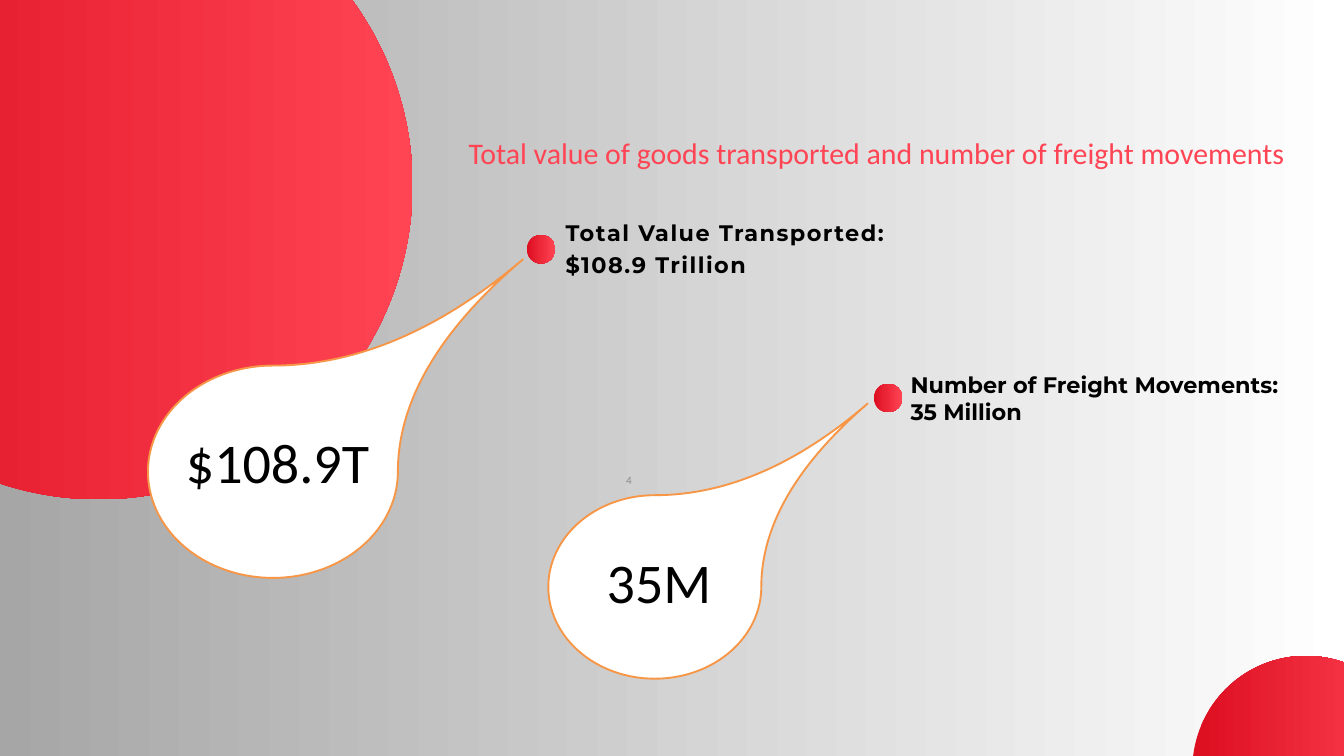
from pptx import Presentation
from pptx.dml.color import RGBColor
from pptx.enum.shapes import MSO_SHAPE
from pptx.enum.text import MSO_ANCHOR, PP_ALIGN
from pptx.util import Pt

OVAL, TEARDROP = MSO_SHAPE.OVAL, MSO_SHAPE.TEAR
TOP, MIDDLE = MSO_ANCHOR.TOP, MSO_ANCHOR.MIDDLE
LEFT, RIGHT = PP_ALIGN.LEFT, PP_ALIGN.RIGHT

DEEP_RED = RGBColor(0xDC, 0x0E, 0x20)
CORAL = RGBColor(0xFF, 0x44, 0x54)
ORANGE = RGBColor(0xF7, 0x96, 0x46)
GRAY = RGBColor(0xA6, 0xA6, 0xA6)
NUMBER_GRAY = RGBColor(0x8C, 0x8C, 0x8C)
WHITE = RGBColor(0xFF, 0xFF, 0xFF)
BLACK = RGBColor(0x00, 0x00, 0x00)


def fill_gradient(fill, start, end):
    """Fill with a left-to-right gradient of two colours."""
    fill.gradient()
    fill.gradient_angle = 0
    for stop, color, position in zip(fill.gradient_stops, (start, end), (0, 1)):
        stop.color.rgb = color
        stop.position = position


def add_red_circle(slide, left, top, diameter):
    circle = slide.shapes.add_shape(OVAL, Pt(left), Pt(top), Pt(diameter), Pt(diameter))
    circle.shadow.inherit = False
    fill_gradient(circle.fill, DEEP_RED, CORAL)
    circle.line.fill.background()


def add_drop(slide, left, top, width, height):
    """Add a white teardrop whose tip reaches far to the upper right."""
    drop = slide.shapes.add_shape(TEARDROP, Pt(left), Pt(top), Pt(width), Pt(height))
    drop.adjustments[0] = 2
    drop.shadow.inherit = False
    drop.fill.solid()
    drop.fill.fore_color.rgb = WHITE
    drop.line.color.rgb = ORANGE
    drop.line.width = Pt(2)


def write(shape, lines, size, font="Calibri", color=BLACK, bold=False, align=LEFT,
          anchor=TOP, line_spacing=None, tracking=None, inset=True):
    """Write one paragraph per line; tracking is the letter spacing in points."""
    frame = shape.text_frame
    frame.word_wrap = True
    frame.vertical_anchor = anchor
    if not inset:
        frame.margin_left = frame.margin_right = 0
        frame.margin_top = frame.margin_bottom = 0
    frame.text = "\n".join(lines)
    for paragraph in frame.paragraphs:
        paragraph.alignment = align
        if line_spacing:
            paragraph.line_spacing = Pt(line_spacing)
        paragraph.font.name = font
        paragraph.font.size = Pt(size)
        paragraph.font.bold = bold
        paragraph.font.color.rgb = color
        if tracking:
            for run in paragraph.runs:
                run._r.get_or_add_rPr().set("spc", str(round(tracking * 100)))


def add_text(slide, left, top, width, height, lines, size, **style):
    box = slide.shapes.add_textbox(Pt(left), Pt(top), Pt(width), Pt(height))
    write(box, lines, size, **style)


def set_title(slide, left, top, width, height, text):
    title = slide.shapes.title
    title.left, title.top = Pt(left), Pt(top)
    title.width, title.height = Pt(width), Pt(height)
    write(title, [text], 32, color=CORAL, line_spacing=112.8, inset=False)


def main():
    prs = Presentation()
    prs.slide_width, prs.slide_height = Pt(1440), Pt(810)
    slide = prs.slides.add_slide(prs.slide_layouts[5])
    fill_gradient(slide.background.fill, GRAY, WHITE)

    add_red_circle(slide, -231, -138, 673)
    add_red_circle(slide, 1277.5, 702.7, 243.4)
    set_title(slide, 502, 70, 996, 95,
              "Total value of goods transported and number of freight movements")

    add_red_circle(slide, 564.3, 251.7, 30.7)
    add_text(slide, 606, 229.7, 508, 68,
             ["Total Value Transported:", "$108.9 Trillion"], 24, font="Montserrat",
             bold=True, line_spacing=34.1, tracking=1.6, inset=False)
    add_drop(slide, 158.5, 391.7, 267.8, 227.5)
    add_text(slide, 192.2, 454.3, 219, 80, ["$108.9T"], 60)

    add_red_circle(slide, 936.2, 411, 30.7)
    add_text(slide, 975.6, 397.4, 414, 58.3,
             ["Number of Freight Movements: 35 Million"], 24, font="Montserrat",
             bold=True, inset=False)
    add_drop(slide, 587.5, 530.6, 228.2, 196.6)
    add_text(slide, 643, 583.2, 219, 80, ["35M"], 60)

    add_text(slide, 516.2, 500.4, 167.8, 28.8, ["4"], 12, color=NUMBER_GRAY,
             align=RIGHT, anchor=MIDDLE)

    prs.save("out.pptx")


if __name__ == "__main__":
    main()
